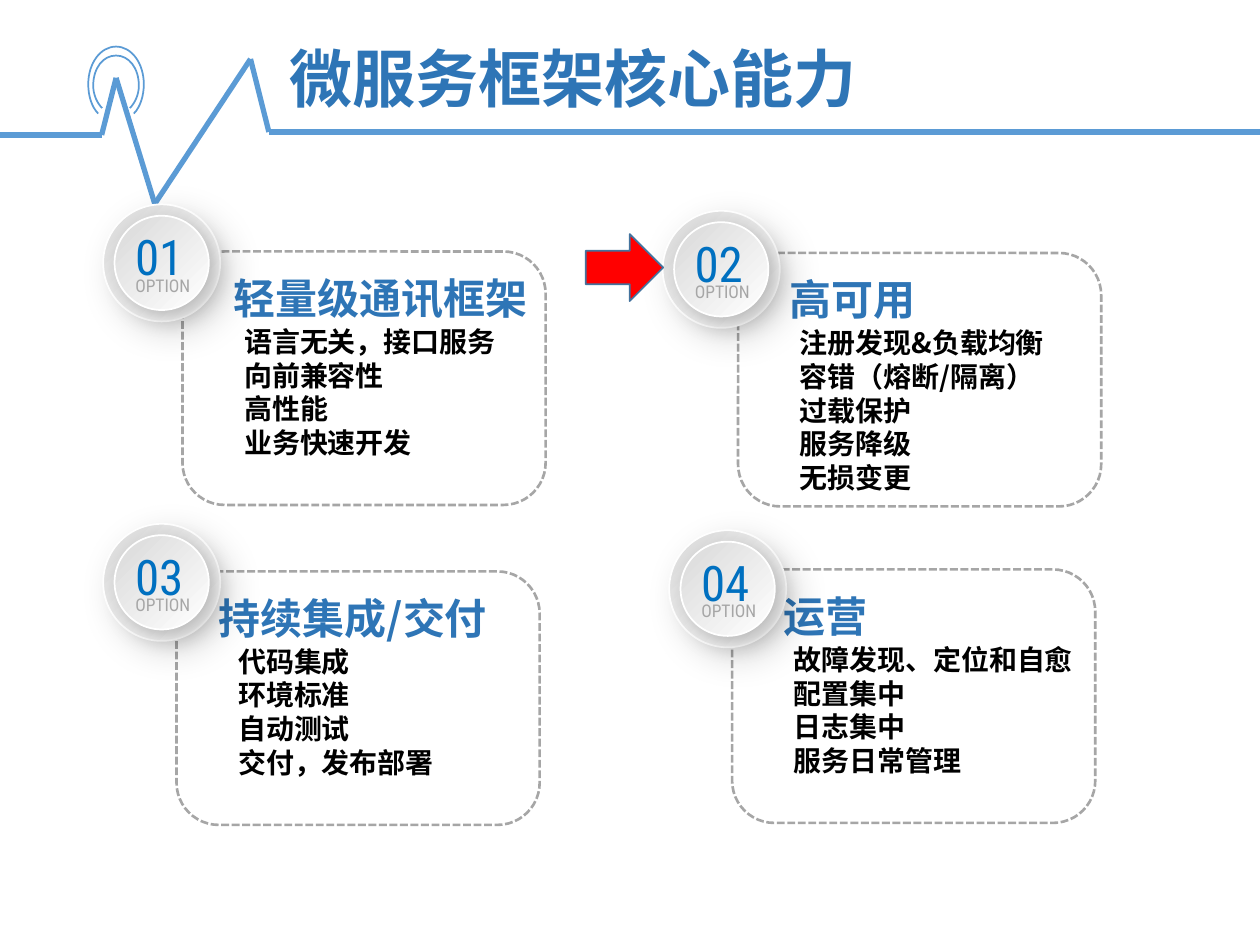
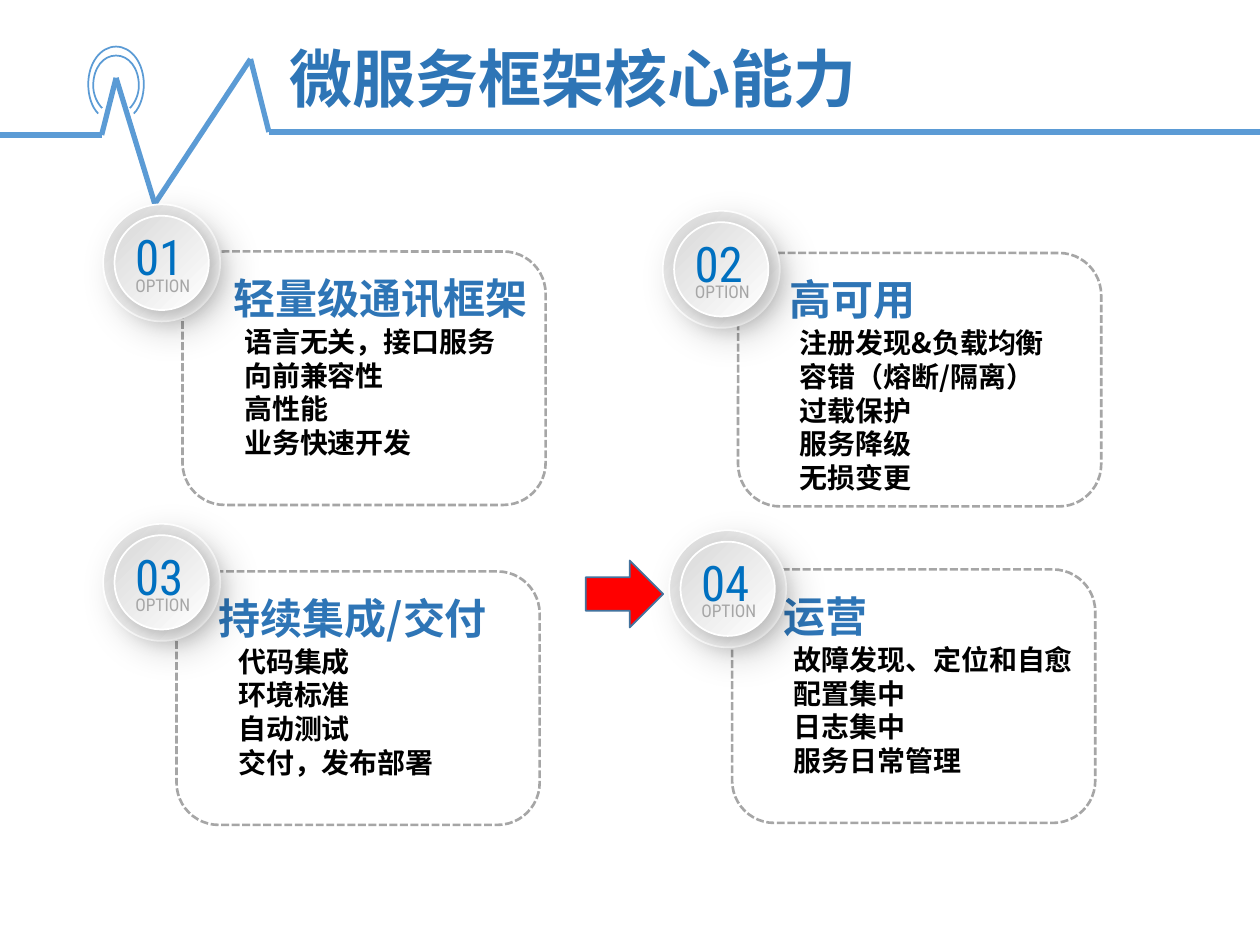
from lxml import etree
from pptx import Presentation
from pptx.dml.color import RGBColor
from pptx.enum.dml import MSO_LINE
from pptx.enum.shapes import MSO_CONNECTOR, MSO_SHAPE
from pptx.enum.text import MSO_ANCHOR, MSO_AUTO_SIZE, PP_ALIGN
from pptx.oxml.ns import qn
from pptx.util import Cm, Pt

STRAIGHT = MSO_CONNECTOR.STRAIGHT
ROUNDED = MSO_SHAPE.ROUNDED_RECTANGLE
OVAL = MSO_SHAPE.OVAL
RIGHT_ARROW = MSO_SHAPE.RIGHT_ARROW
SHORT_DASH = MSO_LINE.SQUARE_DOT
LEFT, CENTER = PP_ALIGN.LEFT, PP_ALIGN.CENTER
TOP, MIDDLE = MSO_ANCHOR.TOP, MSO_ANCHOR.MIDDLE
NO_FIT = MSO_AUTO_SIZE.NONE
COMPARISON_LAYOUT = 4

TITLE_FONT = "League Spartan"
CHINESE_FONT = "Noto Sans CJK SC"
BADGE_FONT = "Roboto Condensed"
HEADING_BLUE, PULSE_BLUE, NUMBER_BLUE = "2E75B6", "5B9BD5", "0070C0"
GRAY, LIGHT_GRAY, WHITE, BLACK = "A6A6A6", "D9D9D9", "FFFFFF", "000000"
ARROW_RED, ARROW_EDGE = "FF0000", "43739E"

TITLE = "微服务框架核心能力"
PULSE = [(0, 2.72), (2.05, 2.72), (2.34, 1.57), (3.12, 4.11),
         (5.05, 1.19), (5.42, 2.66), (25.4, 2.66)]
SIGNAL_CENTER = 2.34
SIGNAL_HALVES = [
    [(2.06, 2.18), (1.96, 2.08), (1.88, 1.91), (1.88, 1.73),
     (1.88, 1.37), (2.08, 1.12), (2.34, 1.12)],
    [(1.98, 2.29), (1.85, 2.16), (1.78, 1.93), (1.78, 1.7),
     (1.78, 1.27), (2.03, 0.94), (2.34, 0.94)],
]
ARROW_TOPS = [4.72, 11.3]
CARDS = [
    {"panel": (3.68, 5.07), "badge": (2.08, 4.12), "indent": 0.77,
     "heading": "轻量级通讯框架",
     "items": ["语言无关，接口服务", "向前兼容性", "高性能", "业务快速开发"]},
    {"panel": (14.88, 5.1), "badge": (13.36, 4.25), "indent": 0.79,
     "heading": "高可用",
     "items": ["注册发现&负载均衡", "容错（熔断/隔离）", "过载保护",
               "服务降级", "无损变更"]},
    {"panel": (3.56, 11.52), "badge": (2.08, 10.56), "indent": 0.6,
     "heading": "持续集成/交付",
     "items": ["代码集成", "环境标准", "自动测试", "交付，发布部署"]},
    {"panel": (14.76, 11.48), "badge": (13.49, 10.69), "indent": 0.79,
     "heading": "运营",
     "items": ["故障发现、定位和自愈", "配置集中", "日志集中", "服务日常管理"]},
]


def color(value):
    """Turn a hex string into a colour."""
    return RGBColor.from_string(value)


def place(box, left, top, width, height):
    """Set the position and size of a box in centimetres."""
    box.left, box.top = Cm(left), Cm(top)
    box.width, box.height = Cm(width), Cm(height)


def set_frame(box, anchor):
    """Wrap the text of a box and anchor it without automatic fitting."""
    frame = box.text_frame
    frame.word_wrap = True
    frame.auto_size = NO_FIT
    frame.vertical_anchor = anchor
    return frame


def add_span(para, text, font_name, size, fill, bold=False):
    """Add one formatted run to a paragraph."""
    span = para.add_run()
    span.text = text
    font = span.font
    font.name, font.size, font.bold = font_name, Pt(size), bold
    font.color.rgb = color(fill)
    east_asian = etree.Element(qn("a:ea"), typeface=CHINESE_FONT)
    font._element.find(qn("a:latin")).addnext(east_asian)


def add_label(page, area, text, font_name, size, fill, align=LEFT, bold=False):
    """Add a one-line text box and return its paragraph."""
    box = page.shapes.add_textbox(*map(Cm, area))
    para = set_frame(box, TOP).paragraphs[0]
    para.alignment = align
    add_span(para, text, font_name, size, fill, bold)
    return para


def add_outlined(page, kind, area, edge, width):
    """Add a preset shape with an outline and no shadow."""
    shape = page.shapes.add_shape(kind, *map(Cm, area))
    shape.shadow.inherit = False
    shape.line.color.rgb = color(edge)
    shape.line.width = Pt(width)
    return shape


def add_title(page):
    """Fill the title placeholder."""
    box = page.shapes.title
    place(box, 5.59, 0.66, 19.8, 1.8)
    para = set_frame(box, MIDDLE).paragraphs[0]
    para.alignment = LEFT
    add_span(para, TITLE, TITLE_FONT, 36, HEADING_BLUE, True)


def add_pulse(page):
    """Draw the pulse line below the title."""
    for start, end in zip(PULSE, PULSE[1:]):
        line = page.shapes.add_connector(STRAIGHT, *map(Cm, start + end))
        line.line.color.rgb = color(PULSE_BLUE)
        line.line.width = Pt(3)
        etree.SubElement(line._element.spPr, qn("a:effectLst"))


def bend_outline(shape):
    """Turn each three line segments of a freeform into one curve."""
    outline = next(shape._element.iter(qn("a:path")))
    segments = outline.findall(qn("a:lnTo"))
    for first in range(0, len(segments), 3):
        curve = etree.SubElement(outline, qn("a:cubicBezTo"))
        for segment in segments[first:first + 3]:
            curve.append(segment[0])
            outline.remove(segment)


def add_signal_arc(page, half):
    """Draw a symmetric arc, open at the bottom, from its left half."""
    mirrored = [(2 * SIGNAL_CENTER - x, y) for x, y in reversed(half[:-1])]
    points = [(Cm(x), Cm(y)) for x, y in half + mirrored]
    builder = page.shapes.build_freeform(*points[0])
    builder.add_line_segments(points[1:], close=False)
    arc = builder.convert_to_shape()
    bend_outline(arc)
    arc.shadow.inherit = False
    arc.fill.background()
    arc.line.color.rgb = color(PULSE_BLUE)
    arc.line.width = Pt(1)


def add_shadow(shape, opacity, blur, distance):
    """Give a shape a soft black shadow to the lower right."""
    effects = shape._element.spPr.find(qn("a:effectLst"))
    shadow = etree.SubElement(
        effects, qn("a:outerShdw"), blurRad=str(Pt(blur)),
        dist=str(Pt(distance)), dir="2700000", algn="tl", rotWithShape="0")
    tone = etree.SubElement(shadow, qn("a:srgbClr"), val=BLACK)
    etree.SubElement(tone, qn("a:alpha"), val=str(opacity * 1000))


def add_disc(page, left, top, size, opacity, blur, distance):
    """Add a round disc with a gradient and a shadow."""
    disc = add_outlined(page, OVAL, (left, top, size, size), WHITE, 1)
    disc.fill.gradient()
    disc.fill.gradient_angle = 315
    for stop, tone in zip(disc.fill.gradient_stops, (LIGHT_GRAY, WHITE)):
        stop.color.rgb = color(tone)
    add_shadow(disc, opacity, blur, distance)


def add_badge(page, left, top, number):
    """Add the numbered option badge."""
    add_disc(page, left, top, 2.36, 15, 20, 8)
    add_disc(page, left + 0.23, top + 0.23, 1.9, 25, 13, 6)
    add_label(page, (left + 0.18, top + 0.33, 1.9, 1.45), f"{number:02}",
              BADGE_FONT, 28, NUMBER_BLUE, CENTER)
    add_label(page, (left + 0.4, top + 1.29, 1.63, 0.71), "OPTION",
              BADGE_FONT, 10, GRAY)


def fill_list(box, items):
    """Write the items of a card into a body placeholder."""
    frame = set_frame(box, TOP)
    for index, item in enumerate(items):
        para = frame.add_paragraph() if index else frame.paragraphs[0]
        properties = para._p.get_or_add_pPr()
        properties.set("marL", "0")
        properties.set("indent", "0")
        etree.SubElement(properties, qn("a:buNone"))
        para.space_before = Pt(0)
        para.line_spacing = Pt(19.25)
        add_span(para, item, CHINESE_FONT, 16, BLACK, True)


def add_card(page, number, card):
    """Add a dashed panel with its heading, list and badge."""
    left, top = card["panel"]
    panel = add_outlined(page, ROUNDED, (left, top, 7.32, 5.11), GRAY, 1.5)
    panel.fill.background()
    panel.line.dash_style = SHORT_DASH
    heading = add_label(
        page, (left + card["indent"], top + 0.29, 6.78, 1.27),
        card["heading"], CHINESE_FONT, 24, HEADING_BLUE, bold=True)
    heading.line_spacing = Pt(28.8)
    body = page.placeholders[number]
    place(body, left + 0.99, top + 1.34, 6.33, 3.68)
    fill_list(body, card["items"])
    add_badge(page, *card["badge"], number)


def add_arrow(page, top):
    """Point a red arrow at the current card."""
    area = (11.81, top, 1.56, 1.35)
    arrow = add_outlined(page, RIGHT_ARROW, area, ARROW_EDGE, 1)
    arrow.fill.solid()
    arrow.fill.fore_color.rgb = color(ARROW_RED)


def add_page(deck, arrow_top):
    """Add one overview page with its arrow at the given height."""
    page = deck.slides.add_slide(deck.slide_layouts[COMPARISON_LAYOUT])
    add_title(page)
    add_pulse(page)
    for half in SIGNAL_HALVES:
        add_signal_arc(page, half)
    for number, card in enumerate(CARDS, 1):
        add_card(page, number, card)
    add_arrow(page, arrow_top)


def main():
    """Build and save the deck."""
    deck = Presentation()
    deck.slide_width, deck.slide_height = Cm(25.4), Cm(19.05)
    for arrow_top in ARROW_TOPS:
        add_page(deck, arrow_top)
    deck.save("out.pptx")


if __name__ == "__main__":
    main()
